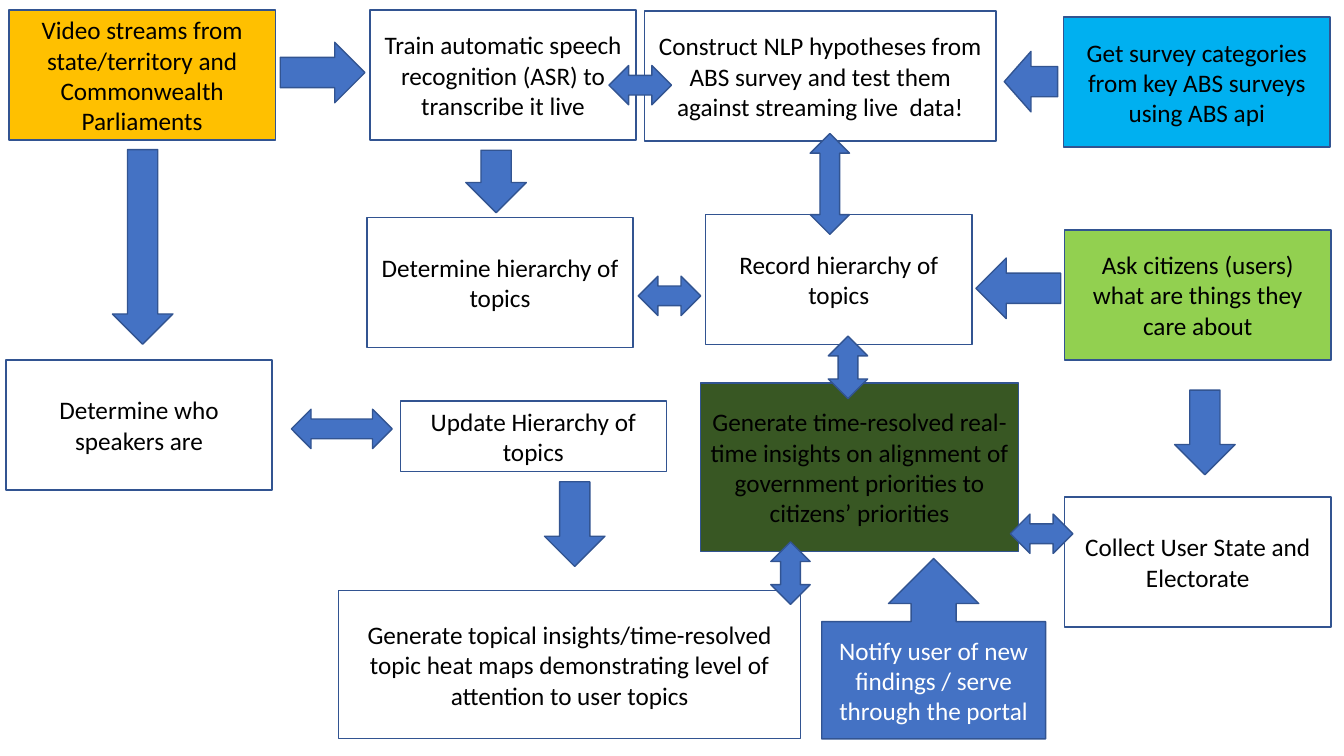
from pptx import Presentation
from pptx.dml.color import RGBColor
from pptx.enum.shapes import MSO_SHAPE
from pptx.enum.text import MSO_ANCHOR, PP_ALIGN
from pptx.util import Inches, Pt

RECTANGLE = MSO_SHAPE.RECTANGLE
CALLOUT = MSO_SHAPE.UP_ARROW_CALLOUT
ONE_WAY = MSO_SHAPE.RIGHT_ARROW
TWO_WAY = MSO_SHAPE.LEFT_RIGHT_ARROW
MIDDLE = MSO_ANCHOR.MIDDLE
CENTER = PP_ALIGN.CENTER

COLORS = {
    "outline": "325491",
    "blue": "4472C4",
    "amber": "FFC000",
    "sky": "00B0F0",
    "lime": "92D050",
    "forest": "385723",
    "black": "000000",
    "white": "FFFFFF",
}
FONT = "Calibri"
BOX_WIDTH, BOX_HEIGHT = 2.64, 1.29
ARROW_HEIGHT = {ONE_WAY: 0.6, TWO_WAY: 0.39}

deck = Presentation()
deck.slide_width = Inches(13.33)
deck.slide_height = Inches(7.5)
slide = deck.slides.add_slide(deck.slide_layouts[6])


def add_outlined(kind, left, top, width, height, fill):
    """Add a preset shape with the common outline and an optional fill."""
    shape = slide.shapes.add_shape(
        kind, Inches(left), Inches(top), Inches(width), Inches(height))
    shape.shadow.inherit = False
    shape.line.color.rgb = RGBColor.from_string(COLORS["outline"])
    shape.line.width = Pt(1)
    if fill:
        shape.fill.solid()
        shape.fill.fore_color.rgb = RGBColor.from_string(COLORS[fill])
    else:
        shape.fill.background()
    return shape


def add_step(text, left, top, width=BOX_WIDTH, height=BOX_HEIGHT,
             fill=None, kind=RECTANGLE, color="black"):
    """Add one process step with centred text."""
    box = add_outlined(kind, left, top, width, height, fill)
    frame = box.text_frame
    frame.word_wrap = True
    frame.vertical_anchor = MIDDLE
    frame.text = text
    para = frame.paragraphs[0]
    para.alignment = CENTER
    font = para.runs[0].font
    font.name = FONT
    font.size = Pt(18)
    font.color.rgb = RGBColor.from_string(COLORS[color])


# Process steps, row by row
add_step("Video streams from state/territory and Commonwealth Parliaments",
         0.09, 0.1, fill="amber")
add_step("Train automatic speech recognition (ASR) to transcribe it live",
         3.67, 0.1)
add_step("Construct NLP hypotheses from ABS survey and test them "
         "against streaming live  data!", 6.39, 0.11, width=3.49)
add_step("Get survey categories from key ABS surveys using ABS api",
         10.55, 0.17, fill="sky")
add_step("Determine hierarchy of topics", 3.64, 2.16)
add_step("Record hierarchy of topics", 7, 2.13)
add_step("Ask citizens (users) what are things they care about",
         10.56, 2.28, fill="lime")
add_step("Determine who speakers are", 0.06, 3.57)
add_step("Update Hierarchy of topics", 3.97, 3.98, height=0.7)
add_step("Generate time-resolved real-time insights on alignment of "
         "government priorities to citizens’ priorities",
         6.95, 3.8, 3.15, 1.67, fill="forest")
add_step("Collect User State and Electorate", 10.56, 4.93)
add_step("Generate topical insights/time-resolved topic heat maps "
         "demonstrating level of attention to user topics",
         3.36, 5.86, 4.58, 1.47)
add_step("Notify user of new findings / serve through the portal",
         8.15, 5.54, 2.22, 1.79, fill="blue", kind=CALLOUT, color="white")

# Arrows: kind, left, top, length, rotation (before turning)
arrows = [
    (ONE_WAY, 2.78, 0.42, 0.84, 0),      # video to speech recognition
    (ONE_WAY, 0.45, 2.15, 1.93, 90),     # video to speakers
    (ONE_WAY, 4.61, 1.5, 0.62, 90),      # speech recognition to topics
    (ONE_WAY, 9.96, 0.51, 0.53, 180),    # survey to hypotheses
    (ONE_WAY, 9.68, 2.56, 0.84, 180),    # citizens to recorded topics
    (ONE_WAY, 11.53, 3.99, 0.84, 90),    # citizens to state and electorate
    (ONE_WAY, 5.28, 4.9, 0.84, 90),      # updated topics to heat maps
    (TWO_WAY, 6.04, 0.65, 0.62, 180),    # speech recognition and hypotheses
    (TWO_WAY, 7.73, 1.63, 1, 90),        # hypotheses and recorded topics
    (TWO_WAY, 6.33, 2.74, 0.62, 0),      # determined and recorded topics
    (TWO_WAY, 8.1, 3.45, 0.62, 90),      # recorded topics and alignment
    (TWO_WAY, 2.89, 4.06, 1, 0),         # speakers and updated topics
    (TWO_WAY, 10.02, 5.1, 0.62, 0),      # alignment and electorate
    (TWO_WAY, 7.53, 5.49, 0.62, 90),     # alignment and heat maps
]
for kind, left, top, length, rotation in arrows:
    arrow = add_outlined(kind, left, top, length, ARROW_HEIGHT[kind], "blue")
    arrow.rotation = rotation

deck.save("out.pptx")
